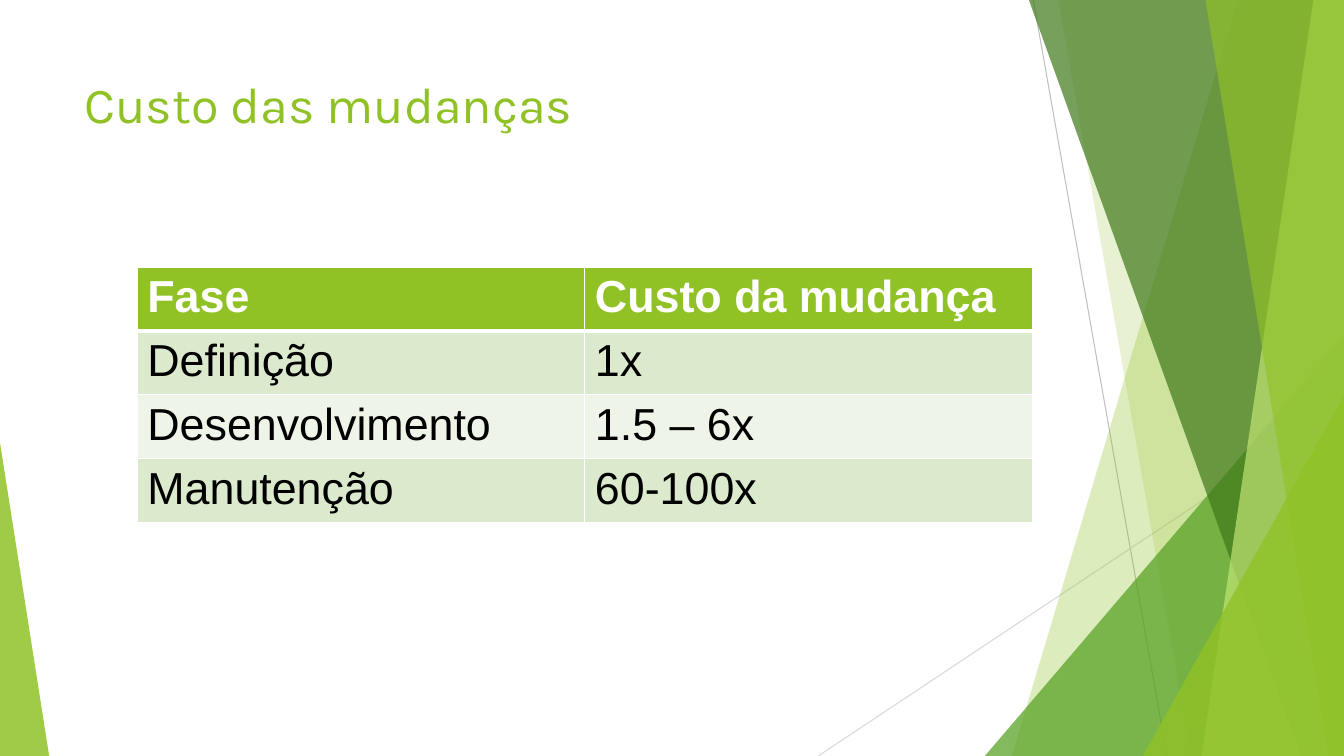
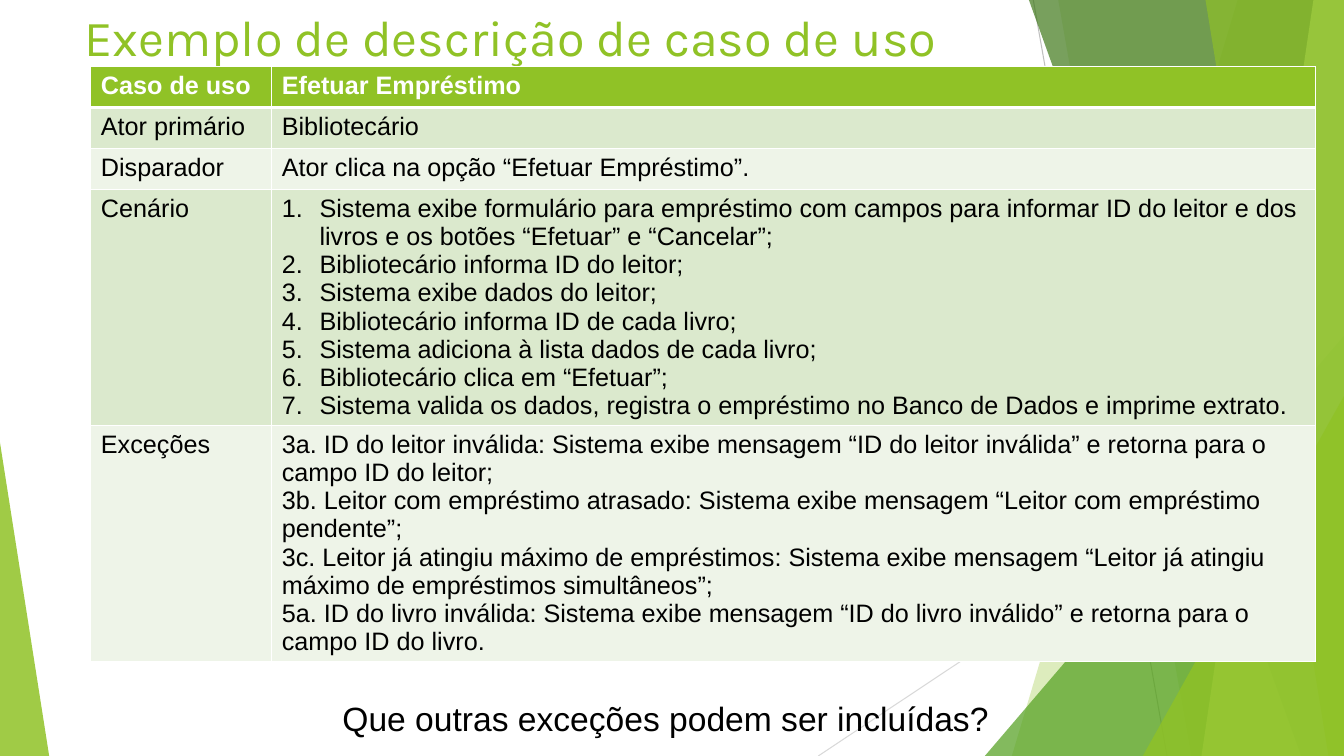
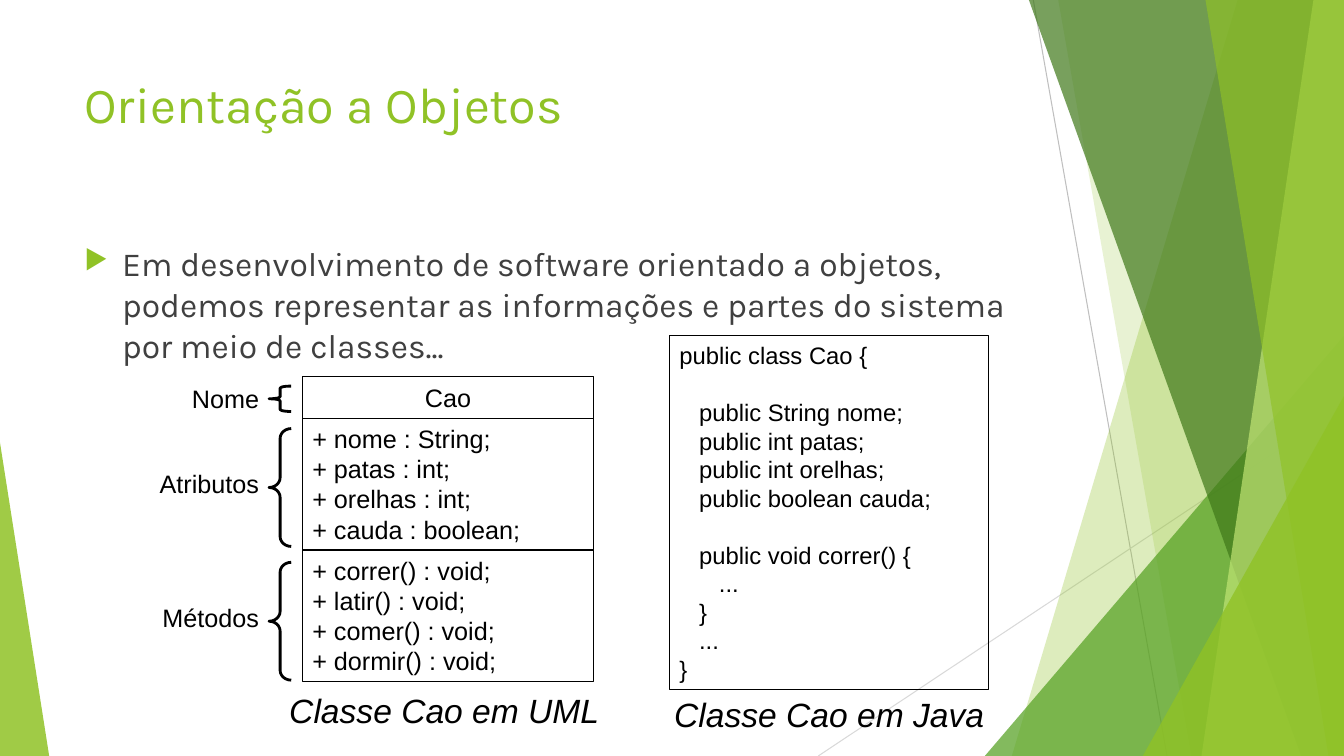
from lxml.etree import SubElement
from pptx import Presentation
from pptx.dml.color import RGBColor
from pptx.enum.shapes import MSO_CONNECTOR, MSO_SHAPE
from pptx.enum.text import MSO_ANCHOR, PP_ALIGN
from pptx.oxml.ns import qn
from pptx.util import Cm, Pt

HUES = {
    "lime": "90C226", "leaf": "54A021", "moss": "3F7819", "pale": "C0E474",
    "odd": "DBE9CD", "even": "EEF4E8", "white": "FFFFFF", "black": "000000",
    "ink": "404040", "gray": "BFBFBF", "mist": "D9D9D9",
}
WIDE, HIGH = 33.87, 19.05
STEP = 0.95


def tint(name):
    return RGBColor.from_string(HUES[name])


def add(node, tag, **attrs):
    return SubElement(node, qn(tag), attrs)


class Deck:
    head = "Karla"
    font = "Arial"
    leads = {"Karla": 1.22, "Arial": 1.2}

    def __init__(self):
        self.prs = Presentation()
        self.prs.slide_width, self.prs.slide_height = Cm(WIDE), Cm(HIGH)
        self.slide = None

    def page(self, title, top=1.7):
        self.slide = self.prs.slides.add_slide(self.prs.slide_layouts[6])
        self.line(26.04, 0, 29.41, HIGH, "gray")
        self.line(WIDE, 10.24, 20.62, HIGH, "mist")
        self.band(31.19, 25.5, "lime", 30)
        self.band(26.67, 30.02, "lime", 20)
        self.wedge(24.82, 8.46, WIDE - 24.82, 1, "leaf", 72)
        self.band(25.93, 32.79, "moss", 70)
        self.band(33.1, 30.28, "pale", 70)
        self.band(30.38, 33.48, "lime", 65)
        self.wedge(28.8, 9.98, WIDE - 28.8, 1, "lime", 80)
        self.wedge(0, 11.15, 1.24, 0, "lime", 85)
        self.text(1.88, top, 23.88, 3.66, [title], 36, "lime",
                  font=self.head, wrap=True)

    def line(self, x1, y1, x2, y2, hue):
        line = self.slide.shapes.add_connector(
            MSO_CONNECTOR.STRAIGHT, Cm(x1), Cm(y1), Cm(x2), Cm(y2))
        line.line.color.rgb = tint(hue)
        line.line.width = Pt(0.75)
        add(line._element.spPr, "a:effectLst")

    def paint(self, shape, hue, alpha):
        shape.shadow.inherit = False
        shape.line.fill.background()
        shape.fill.solid()
        shape.fill.fore_color.rgb = tint(hue)
        color = shape._element.spPr.find(qn("a:solidFill"))[0]
        add(color, "a:alpha", val=str(alpha * 1000))

    def band(self, top, foot, hue, alpha):
        form = self.slide.shapes.build_freeform(Cm(top), 0)
        form.add_line_segments([(Cm(WIDE), 0), (Cm(WIDE), Cm(HIGH)),
                                (Cm(foot), Cm(HIGH))], close=True)
        self.paint(form.convert_to_shape(), hue, alpha)

    def wedge(self, x, y, w, tip, hue, alpha):
        shape = self.slide.shapes.add_shape(
            MSO_SHAPE.ISOSCELES_TRIANGLE, Cm(x), Cm(y), Cm(w), Cm(HIGH - y))
        shape.adjustments[0] = tip
        self.paint(shape, hue, alpha)

    def outline(self, kind, x, y, w, h, width):
        shape = self.slide.shapes.add_shape(kind, Cm(x), Cm(y), Cm(w), Cm(h))
        shape.shadow.inherit = False
        shape.fill.background()
        shape.line.color.rgb = tint("black")
        shape.line.width = Pt(width)
        return shape

    def put(self, frame, lines, size, hue="black", font=None, lead=None,
            bold=False, slant=False, align=PP_ALIGN.LEFT):
        font = font or self.font
        for i, line in enumerate(lines):
            para = frame.add_paragraph() if i else frame.paragraphs[0]
            para.alignment = align
            para.line_spacing = Pt(size * (lead or self.leads[font]))
            run = para.add_run()
            run.text = line
            run.font.name, run.font.size = font, Pt(size)
            run.font.bold, run.font.italic = bold, slant
            run.font.color.rgb = tint(hue)
        return frame.paragraphs

    def text(self, x, y, w, h, lines, size, hue="black", wrap=False, **look):
        box = self.slide.shapes.add_textbox(Cm(x), Cm(y), Cm(w), Cm(h))
        box.text_frame.word_wrap = wrap
        return self.put(box.text_frame, lines, size, hue, **look)

    def panel(self, x, y, w, h, lines, size, **look):
        frame = self.outline(MSO_SHAPE.RECTANGLE, x, y, w, h, 0.75).text_frame
        frame.word_wrap = True
        frame.vertical_anchor = MSO_ANCHOR.TOP
        return self.put(frame, lines, size, **look)

    def brace(self, y, h, bend):
        shape = self.outline(MSO_SHAPE.LEFT_BRACE, 6.78, y, 0.56, h, 2)
        shape.adjustments[0] = bend

    def hang(self, para):
        props = para._p.get_or_add_pPr()
        props.set("marL", str(Cm(STEP)))
        props.set("indent", str(-Cm(STEP)))
        return props

    def bullet(self, para):
        props = self.hang(para)
        add(add(props, "a:buClr"), "a:srgbClr", val=HUES["lime"])
        add(props, "a:buSzPct", val="80000")
        add(props, "a:buChar", char="▶")

    def number(self, para):
        add(self.hang(para), "a:buAutoNum", type="arabicPeriod")

    def table(self, x, y, cols, rows, data, size):
        grid = self.slide.shapes.add_table(
            len(rows), len(cols), Cm(x), Cm(y),
            Cm(sum(cols)), Cm(sum(rows))).table
        for col, width in zip(grid.columns, cols):
            col.width = Cm(width)
        for r, (height, items) in enumerate(zip(rows, data)):
            grid.rows[r].height = Cm(height)
            for c, item in enumerate(items):
                cell = grid.cell(r, c)
                self.frame(cell, r)
                cell.fill.solid()
                cell.fill.fore_color.rgb = tint(
                    "lime" if r == 0 else "odd" if r % 2 else "even")
                lines = [item] if isinstance(item, str) else item
                self.put(cell.text_frame, lines, size,
                         "black" if r else "white", lead=1.12, bold=r == 0)
        return grid

    def frame(self, cell, row):
        props = cell._tc.get_or_add_tcPr()
        thick = {"L": 1, "R": 1, "T": 3 if row == 1 else 1,
                 "B": 1 if row else 3}
        for side, width in thick.items():
            edge = add(props, "a:ln" + side, w=str(Pt(width)))
            add(add(edge, "a:solidFill"), "a:srgbClr", val=HUES["white"])


def costs(deck):
    deck.page("Custo das mudanças")
    deck.table(3.46, 6.73, [11.28] * 2, [1.61] * 4, [
        ("Fase", "Custo da mudança"),
        ("Definição", "1x"),
        ("Desenvolvimento", "1.5 – 6x"),
        ("Manutenção", "60-100x"),
    ], 32)


def use_case(deck):
    deck.page("Exemplo de descrição de caso de uso", 0)
    steps = [
        "Sistema exibe formulário para empréstimo com campos para informar "
        "ID do leitor e dos livros e os botões “Efetuar” e “Cancelar”;",
        "Bibliotecário informa ID do leitor;",
        "Sistema exibe dados do leitor;",
        "Bibliotecário informa ID de cada livro;",
        "Sistema adiciona à lista dados de cada livro;",
        "Bibliotecário clica em “Efetuar”;",
        "Sistema valida os dados, registra o empréstimo no Banco de Dados "
        "e imprime extrato.",
    ]
    faults = [
        "3a. ID do leitor inválida: Sistema exibe mensagem “ID do leitor "
        "inválida” e retorna para o campo ID do leitor;",
        "3b. Leitor com empréstimo atrasado: Sistema exibe mensagem “Leitor "
        "com empréstimo pendente”;",
        "3c. Leitor já atingiu máximo de empréstimos: Sistema exibe mensagem "
        "“Leitor já atingiu máximo de empréstimos simultâneos”;",
        "5a. ID do livro inválida: Sistema exibe mensagem “ID do livro "
        "inválido” e retorna para o campo ID do livro.",
    ]
    grid = deck.table(2.29, 1.68, [4.56, 26.3], [1.03] * 3 + [5.95] * 2, [
        ("Caso de uso", "Efetuar Empréstimo"),
        ("Ator primário", "Bibliotecário"),
        ("Disparador", "Ator clica na opção “Efetuar Empréstimo”."),
        ("Cenário", steps),
        ("Exceções", faults),
    ], 18)
    for para in grid.cell(3, 1).text_frame.paragraphs:
        deck.number(para)
    deck.text(8.38, 17.45, 16.97, 1.28,
              ["Que outras exceções podem ser incluídas?"], 24)


def classes(deck):
    deck.page("Orientação a Objetos")
    intro = deck.text(1.88, 5.99, 23.88, 10.77, [
        "Em desenvolvimento de software orientado a objetos, podemos "
        "representar as informações e partes do sistema por meio de "
        "classes..."], 24, "ink", font=deck.head, wrap=True)
    deck.bullet(intro[0])

    fields = ["+ nome : String;", "+ patas : int;", "+ orelhas : int;",
              "+ cauda : boolean;"]
    calls = [f"+ {name}() : void;"
             for name in ("correr", "latir", "comer", "dormir")]
    parts = [
        ("Nome", ["Cao"], 9.5, 1.04, 9.73, 0.64, 0.09, 9.53),
        ("Atributos", fields, 10.54, 3.32, 10.8, 2.97, 0.44, 11.68),
        ("Métodos", calls, 13.86, 3.32, 14.17, 2.97, 0.44, 15.06),
    ]
    for label, lines, top, tall, start, span, bend, mark in parts:
        align = PP_ALIGN.CENTER if label == "Nome" else PP_ALIGN.LEFT
        deck.panel(7.62, top, 7.34, tall, lines, 18, align=align)
        deck.brace(start, span, bend)
        deck.text(2.78, mark, 4, 1.02, [label], 18, wrap=True,
                  align=PP_ALIGN.RIGHT)

    code = [
        ("public class Cao {", 0, False),
        ("public String nome;", 1, True),
        ("public int patas;", 1, False),
        ("public int orelhas;", 1, False),
        ("public boolean cauda;", 1, False),
        ("public void correr() {", 1, True),
        ("...", 2, False),
        ("}", 1, False),
        ("...", 1, False),
        ("}", 0, False),
    ]
    paras = deck.panel(16.87, 8.46, 8.05, 8.92, [row[0] for row in code], 17)
    for para, (_, level, gap) in zip(paras, code):
        para._p.get_or_add_pPr().set("marL", str(Cm(level * 0.5)))
        if gap:
            para.space_before = Pt(20.4)

    for x, y, name in ((7.04, 17.25, "UML"), (16.74, 17.37, "Java")):
        deck.text(x, y, 8.33, 1.28, [f"Classe Cao em {name}"], 24, slant=True)


def main():
    deck = Deck()
    costs(deck)
    use_case(deck)
    classes(deck)
    deck.prs.save("out.pptx")


if __name__ == "__main__":
    main()
